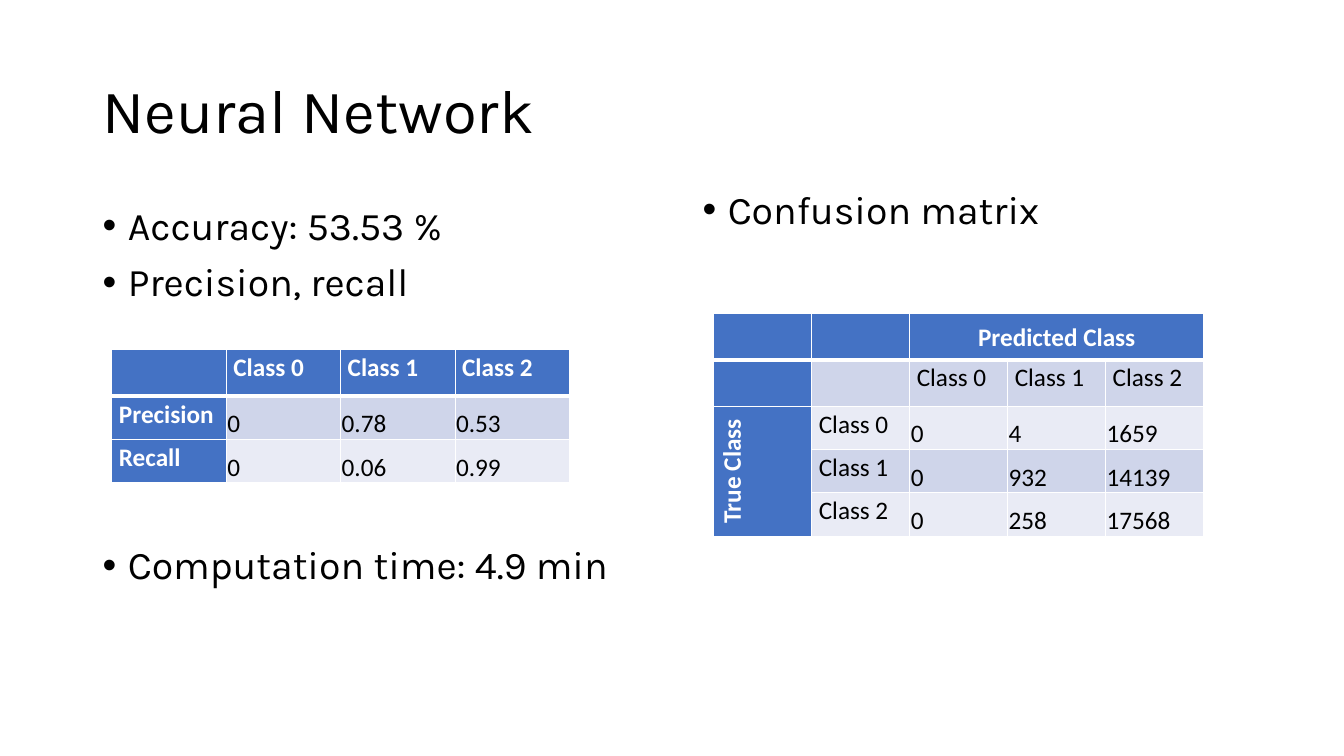
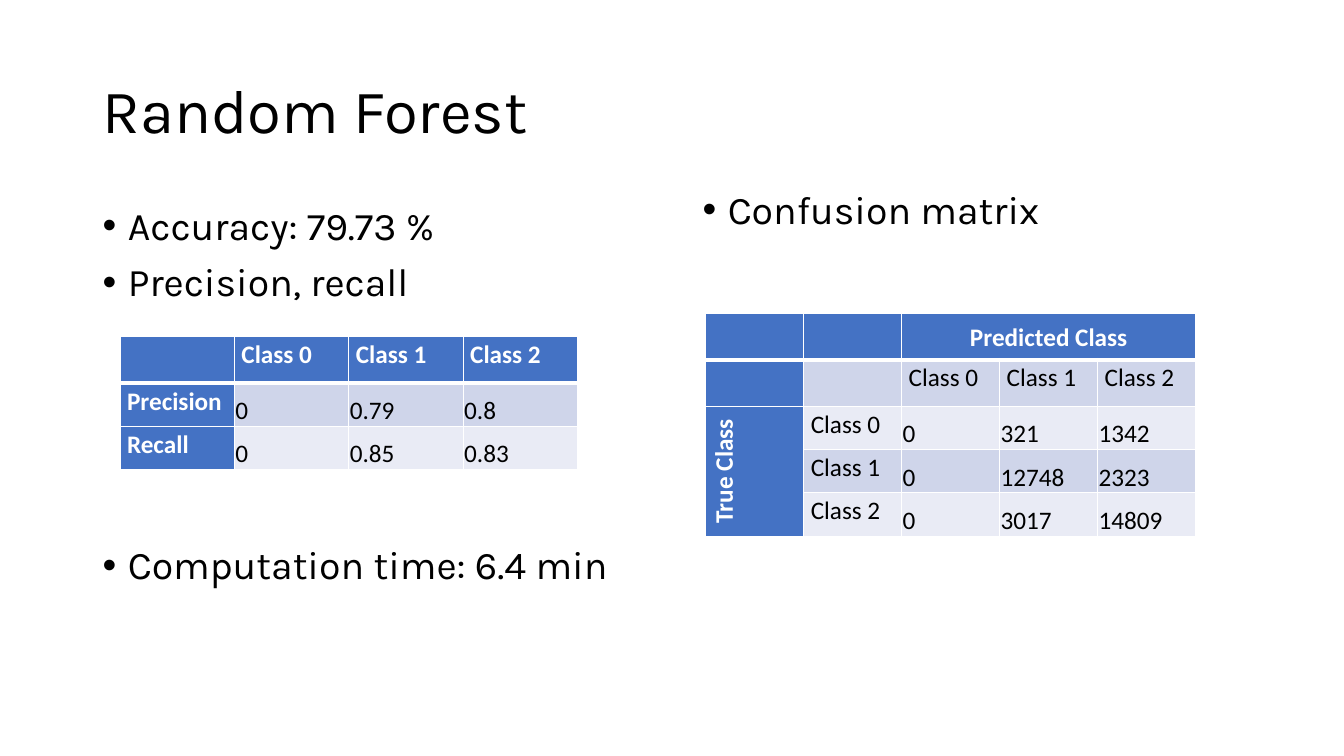
from lxml import etree
from pptx import Presentation
from pptx.dml.color import RGBColor
from pptx.enum import text as t
from pptx.oxml import ns
from pptx.util import Inches, Pt

BLACK = RGBColor(0x00, 0x00, 0x00)
WHITE = RGBColor(0xFF, 0xFF, 0xFF)
BLUE = RGBColor(0x44, 0x72, 0xC4)
BANDS = [RGBColor(0xCF, 0xD5, 0xEA), RGBColor(0xE9, 0xEB, 0xF5)]

TITLE_FONT = {"name": "Karla", "size": Pt(44)}
BODY_FONT = {"name": "Karla", "size": Pt(28)}
CELL_FONT = {"name": "Calibri", "size": Pt(18)}
LABEL_INSETS = {"margin_left": 0.07, "margin_top": 0.01, "margin_right": 0.07, "margin_bottom": 0}
NUMBER_INSETS = {"margin_left": 0.01, "margin_top": 0.01, "margin_right": 0.01, "margin_bottom": 0}

CLASSES = ["Class 0", "Class 1", "Class 2"]
TABLE_GAP = 172  # points left free for the table between two bullets

MODELS = [
    {"title": "Neural Network", "accuracy": "53.53 %", "time": "4.9 min",
     "scores": [["0", "0.78", "0.53"], ["0", "0.06", "0.99"]], "scores_at": (1.11, 3.47),
     "matrix": [["0", "4", "1659"], ["0", "932", "14139"], ["0", "258", "17568"]],
     "matrix_at": (7.08, 3.11)},
    {"title": "Random Forest", "accuracy": "79.73 %", "time": "6.4 min",
     "scores": [["0", "0.79", "0.8"], ["0", "0.85", "0.83"]], "scores_at": (1.19, 3.34),
     "matrix": [["0", "321", "1342"], ["0", "12748", "2323"], ["0", "3017", "14809"]],
     "matrix_at": (7, 3.11)},
]


def add_text(page, position, lines, font, bullets=False):
    """Add a text box; lines are pairs of text and space before in points."""
    box = page.shapes.add_textbox(*[Inches(value) for value in position])
    frame = box.text_frame
    frame.word_wrap = True
    if not bullets:
        frame.vertical_anchor = t.MSO_ANCHOR.MIDDLE
    for index, (line, space) in enumerate(lines):
        para = frame.add_paragraph() if index else frame.paragraphs[0]
        para.line_spacing = 0.9
        para.space_before = Pt(space)
        span = para.add_run()
        span.text = line
        span.font.color.rgb = BLACK
        for name, value in font.items():
            setattr(span.font, name, value)
        if bullets:
            props = para._p.get_or_add_pPr()
            props.set("marL", str(Inches(0.25)))
            props.set("indent", str(Inches(-0.25)))
            etree.SubElement(props, ns.qn("a:buFont")).set("typeface", "Arial")
            etree.SubElement(props, ns.qn("a:buChar")).set("char", "•")


def add_grid(page, position, width, rows, header_rows, merges=()):
    """Add a table with blue first row and column, banded body and white borders."""
    heights = [0.46 if index < header_rows else 0.43 for index in range(len(rows))]
    columns = len(rows[0])
    table = page.shapes.add_table(
        len(rows), columns, *[Inches(value) for value in (*position, width, sum(heights))]).table
    table.first_row = table.horz_banding = False
    for column in table.columns:
        column.width = Inches(width / columns)
    for row, height in zip(table.rows, heights):
        row.height = Inches(height)

    for r, values in enumerate(rows):
        for c, value in enumerate(values):
            cell = table.cell(r, c)
            heading = r == 0 or c == 0
            cell.fill.solid()
            cell.fill.fore_color.rgb = BLUE if heading else BANDS[(r - 1) % 2]

            # Borders, heavier under the first row
            props = cell._tc.get_or_add_tcPr()
            weights = {"L": 1, "R": 1, "T": 3 if r == 1 else 1, "B": 3 if r == 0 else 1}
            for index, (side, weight) in enumerate(weights.items()):
                line = etree.Element(ns.qn("a:ln" + side), w=str(Pt(weight)))
                fill = etree.SubElement(line, ns.qn("a:solidFill"))
                etree.SubElement(fill, ns.qn("a:srgbClr")).set("val", str(WHITE))
                props.insert(index, line)

            # Text
            if not value:
                continue
            number = value[0].isdigit()
            for name, inset in (NUMBER_INSETS if number else LABEL_INSETS).items():
                setattr(cell, name, Inches(inset))
            cell.vertical_anchor = t.MSO_ANCHOR.BOTTOM if number else t.MSO_ANCHOR.TOP
            para = cell.text_frame.paragraphs[0]
            para.line_spacing = 1.07
            span = para.add_run()
            span.text = value
            span.font.bold = heading
            span.font.color.rgb = WHITE if heading else BLACK
            for name, setting in CELL_FONT.items():
                setattr(span.font, name, setting)

    # Headings over several cells, turned when they run down a column
    for first, last in merges:
        cell = table.cell(*first)
        cell.merge(table.cell(*last))
        cell.vertical_anchor = t.MSO_ANCHOR.MIDDLE
        cell.text_frame.paragraphs[0].alignment = t.PP_ALIGN.CENTER
        if first[1] == last[1]:
            cell._tc.get_or_add_tcPr().set("vert", "vert270")


deck = Presentation()
deck.slide_width = Inches(13.33)
deck.slide_height = Inches(7.5)

for model in MODELS:
    page = deck.slides.add_slide(deck.slide_layouts[6])

    # Title and bullets
    add_text(page, (0.92, 0.4, 11.5, 1.45), [(model["title"], 0)], TITLE_FONT)
    add_text(page, (0.92, 2, 5.76, 4.76),
             [("Accuracy: " + model["accuracy"], 10),
              ("Precision, recall", 10),
              ("Computation time: " + model["time"], TABLE_GAP)],
             BODY_FONT, bullets=True)
    add_text(page, (6.87, 1.84, 5.76, 4.76), [("Confusion matrix", 10)], BODY_FONT, bullets=True)

    # Precision and recall
    scores = [["", *CLASSES]]
    scores += [[name, *values] for name, values in zip(["Precision", "Recall"], model["scores"])]
    add_grid(page, model["scores_at"], 4.54, scores, header_rows=1)

    # Confusion matrix
    matrix = [["", "", "Predicted Class", "", ""], ["", "", *CLASSES]]
    matrix += [[side, name, *values] for side, name, values
               in zip(["True Class", "", ""], CLASSES, model["matrix"])]
    add_grid(page, model["matrix_at"], 4.86, matrix, header_rows=2,
             merges=[((0, 2), (0, 4)), ((2, 0), (4, 0))])

deck.save("out.pptx")
